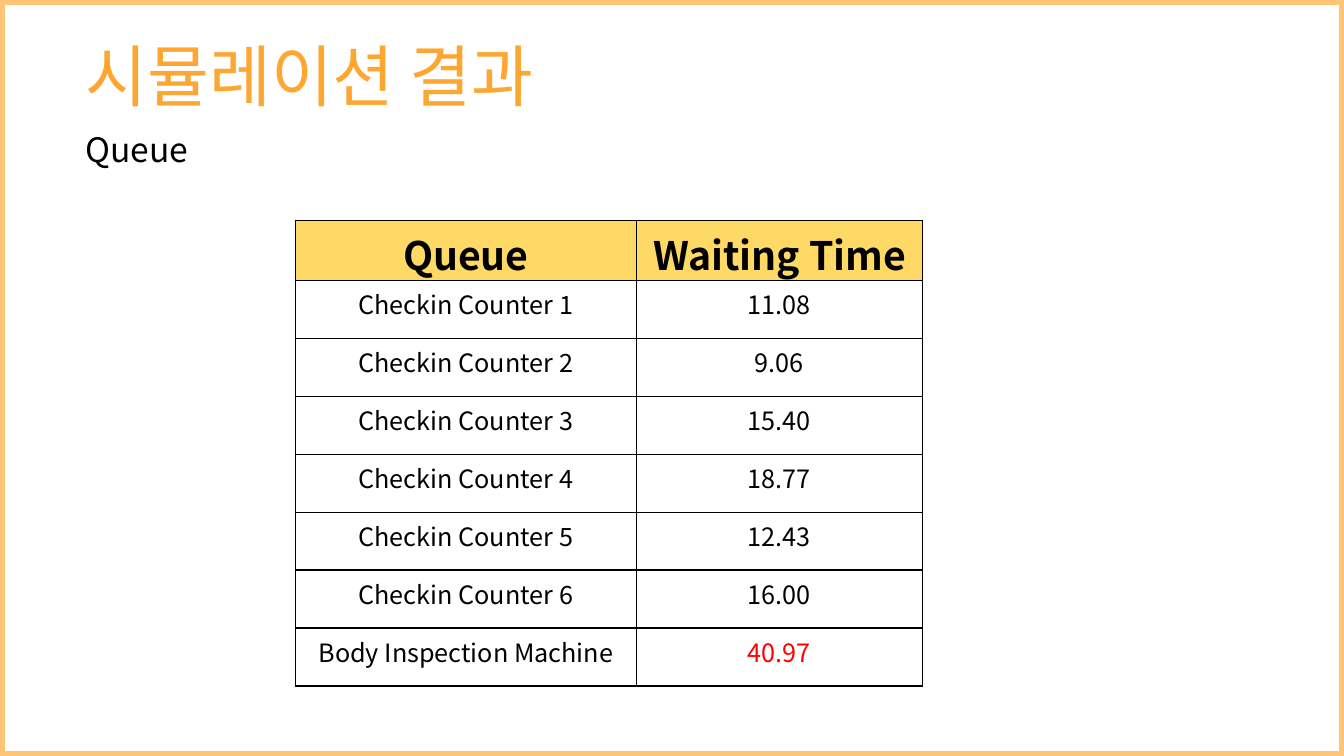
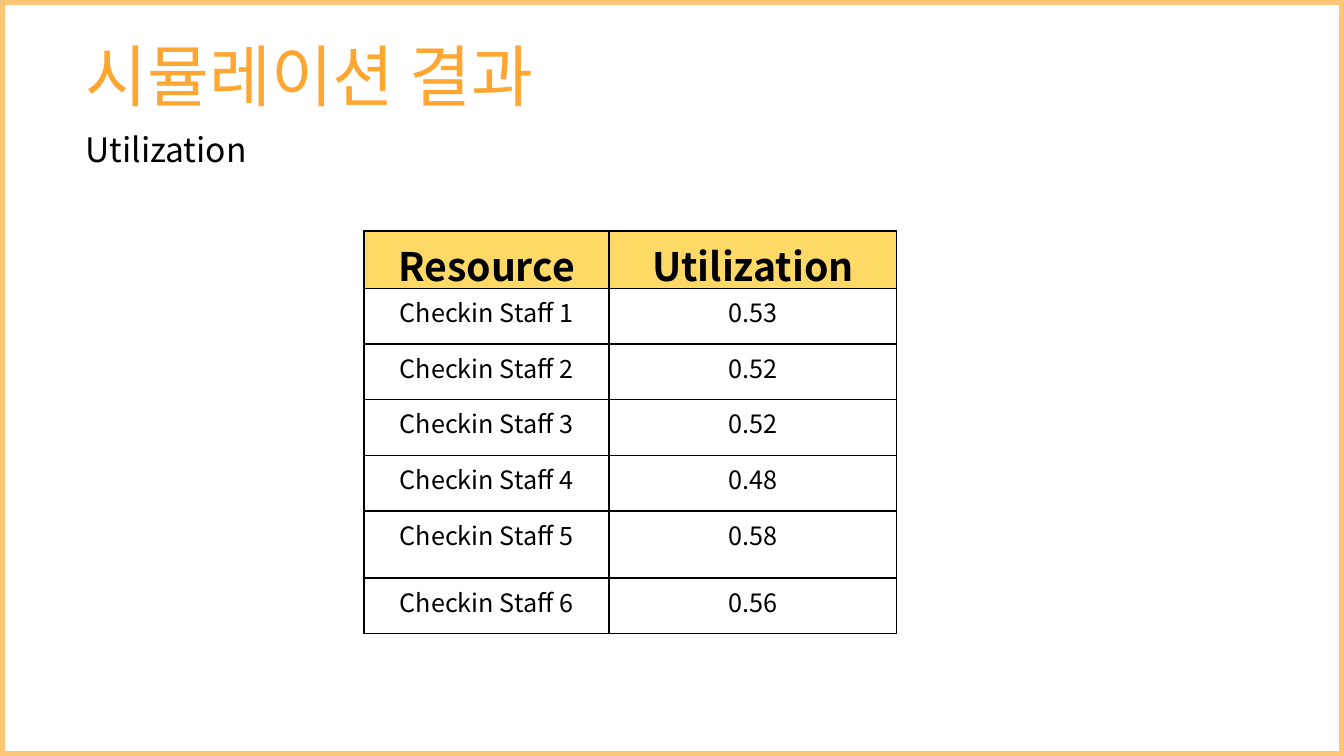
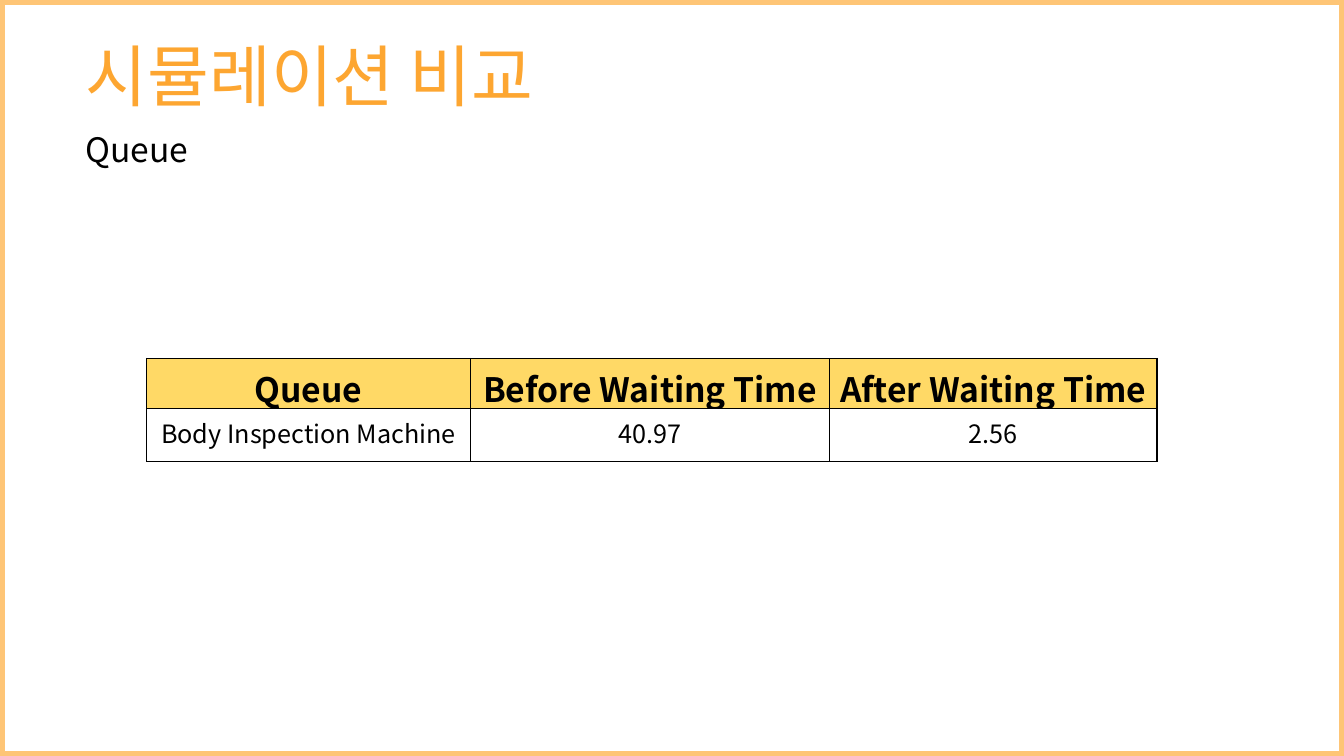
import dataclasses

import lxml.etree
import pptx
import pptx.dml.color
import pptx.enum.shapes
import pptx.enum.text
import pptx.oxml.ns
import pptx.util

Pt = pptx.util.Pt
qn = pptx.oxml.ns.qn


@dataclasses.dataclass(frozen=True)
class Theme:
    font: str = "Noto Sans CJK KR"
    paper: str = "FFFFFF"
    frame: str = "FEC576"
    title: str = "FDA631"
    ink: str = "000000"
    alert: str = "FF0000"
    header_fill: str = "FFD966"
    title_size: int = 48
    subtitle_size: int = 24
    body_size: int = 18
    heading_spacing: float = 0.9
    line_width: int = 1


@dataclasses.dataclass(frozen=True)
class Box:
    left: float
    top: float
    width: float
    height: float

    def lengths(self):
        return [Pt(value) for value in dataclasses.astuple(self)]


THEME = Theme()
PAGE = Box(0, 0, 960, 540)
TITLE = Box(54, 27.36, 678, 65.5)
SUBTITLE = Box(54, 92.16, 456, 36)


def rgb(value):
    return pptx.dml.color.RGBColor.from_string(value)


def add_span(para, text, size, color, bold=False):
    span = para.add_run()
    span.text = text
    span.font.name = THEME.font
    span.font.size = Pt(size)
    span.font.bold = bold
    span.font.color.rgb = rgb(color)
    east_asian = lxml.etree.Element(qn("a:ea"), typeface=THEME.font)
    span.font._element.find(qn("a:latin")).addnext(east_asian)


def add_frame(page, box):
    frame = page.shapes.add_shape(
        pptx.enum.shapes.MSO_SHAPE.FRAME, *box.lengths())
    frame.adjustments[0] = 0.006
    frame.shadow.inherit = False
    frame.fill.solid()
    frame.fill.fore_color.rgb = rgb(THEME.frame)
    frame.line.color.rgb = rgb(THEME.frame)
    frame.line.width = Pt(THEME.line_width)


def set_heading(shape, box, text, size, color):
    shape.left, shape.top, shape.width, shape.height = box.lengths()
    frame = shape.text_frame
    frame.word_wrap = True
    frame.auto_size = pptx.enum.text.MSO_AUTO_SIZE.SHAPE_TO_FIT_TEXT
    frame.vertical_anchor = pptx.enum.text.MSO_ANCHOR.TOP
    para = frame.paragraphs[0]
    para.alignment = pptx.enum.text.PP_ALIGN.LEFT
    para.line_spacing = THEME.heading_spacing
    add_span(para, text, size, color)


def set_borders(cell):
    properties = cell._tc.get_or_add_tcPr()
    for index, side in enumerate(("a:lnL", "a:lnR", "a:lnT", "a:lnB")):
        line = lxml.etree.Element(qn(side), w=str(Pt(THEME.line_width)))
        fill = lxml.etree.SubElement(line, qn("a:solidFill"))
        lxml.etree.SubElement(fill, qn("a:srgbClr"), val=THEME.ink)
        properties.insert(index, line)


def add_result_table(page, left, top, columns, heights, rows, header_size,
                     alerts=()):
    box = Box(left, top, sum(columns), sum(heights))
    table = page.shapes.add_table(
        len(rows), len(columns), *box.lengths()).table
    for column, width in zip(table.columns, columns):
        column.width = Pt(width)
    for row, height in zip(table.rows, heights):
        row.height = Pt(height)
    for row_index, row in enumerate(rows):
        header = row_index == 0
        for column_index, text in enumerate(row):
            cell = table.cell(row_index, column_index)
            cell.fill.solid()
            cell.fill.fore_color.rgb = rgb(
                THEME.header_fill if header else THEME.paper)
            set_borders(cell)
            para = cell.text_frame.paragraphs[0]
            para.alignment = pptx.enum.text.PP_ALIGN.CENTER
            add_span(para, text,
                     header_size if header else THEME.body_size,
                     THEME.alert if text in alerts else THEME.ink,
                     bold=header)


def add_result_page(deck, title, subtitle, **table):
    page = deck.slides.add_slide(deck.slide_layouts.get_by_name("Title Only"))
    page.background.fill.solid()
    page.background.fill.fore_color.rgb = rgb(THEME.paper)
    add_frame(page, PAGE)
    set_heading(page.shapes.title, TITLE, title,
                THEME.title_size, THEME.title)
    set_heading(page.shapes.add_textbox(*SUBTITLE.lengths()), SUBTITLE,
                subtitle, THEME.subtitle_size, THEME.ink)
    add_result_table(page, **table)


def numbered(label, values):
    return [(f"{label} {number}", value)
            for number, value in enumerate(values, 1)]


def main():
    deck = pptx.Presentation()
    deck.slide_width, deck.slide_height = Pt(PAGE.width), Pt(PAGE.height)

    # Waiting time per queue
    waiting = ("11.08", "9.06", "15.40", "18.77", "12.43", "16.00")
    add_result_page(
        deck, "시뮬레이션 결과", "Queue",
        left=211, top=157.5, columns=(243.5, 204.5),
        heights=[42.75] + [41.4] * 7, header_size=28, alerts=("40.97",),
        rows=[("Queue", "Waiting Time"),
              *numbered("Checkin Counter", waiting),
              ("Body Inspection Machine", "40.97")])

    # Utilization per staff member
    utilization = ("0.53", "0.52", "0.52", "0.48", "0.58", "0.56")
    add_result_page(
        deck, "시뮬레이션 결과", "Utilization",
        left=260, top=165, columns=(175, 205.5),
        heights=[40.5] + [39.8] * 4 + [47.8, 39.8], header_size=28,
        rows=[("Resource", "Utilization"),
              *numbered("Checkin Staff", utilization)])

    # Waiting time before and after
    add_result_page(
        deck, "시뮬레이션 비교", "Queue",
        left=104.75, top=256, columns=(231.25, 256.5, 234),
        heights=(35.5, 37.7), header_size=24,
        rows=[("Queue", "Before Waiting Time ", "After Waiting Time"),
              ("Body Inspection Machine", "40.97", "2.56")])

    deck.save("out.pptx")


if __name__ == "__main__":
    main()
